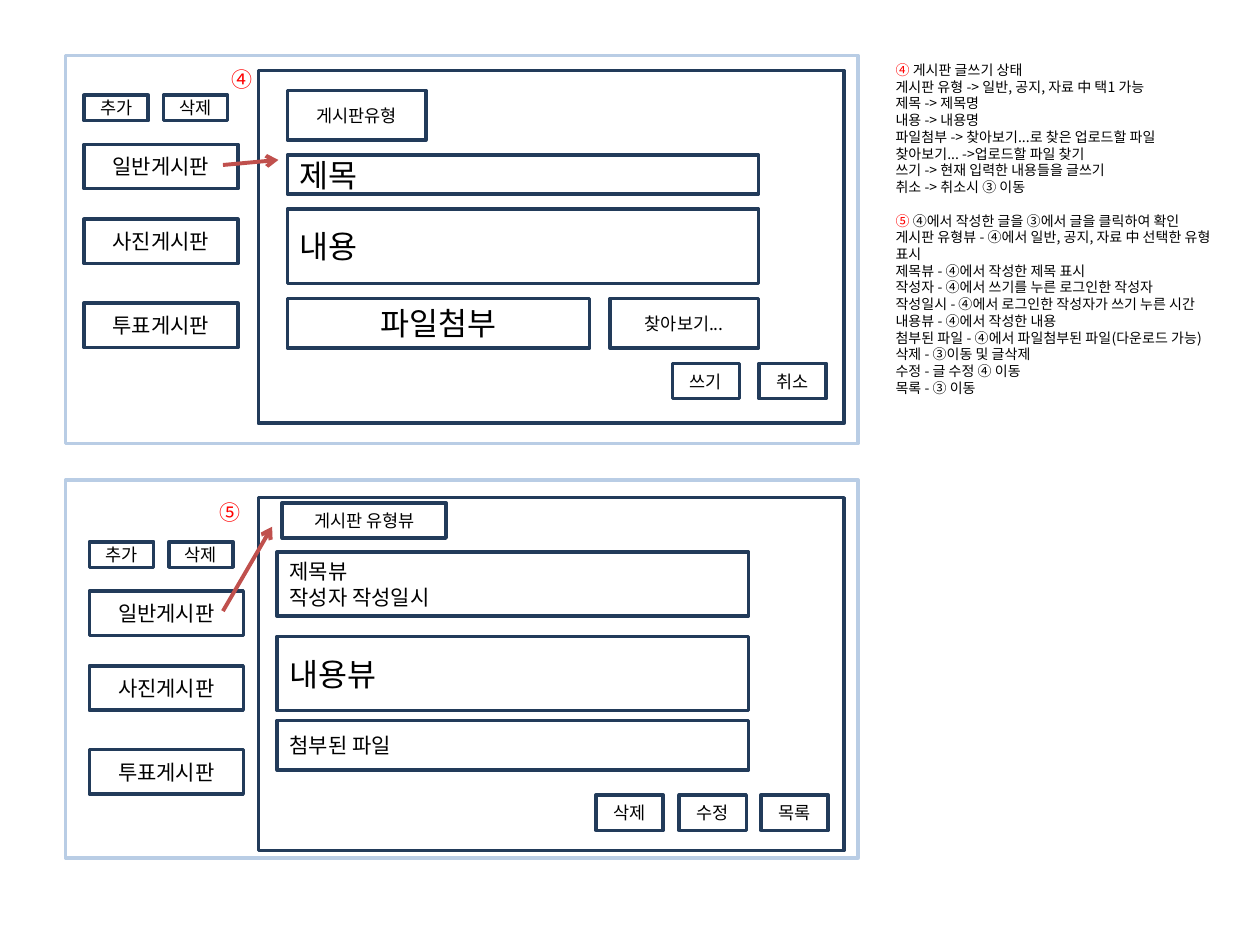
from lxml import etree
from pptx import Presentation
from pptx.dml.color import RGBColor
from pptx.enum.shapes import MSO_CONNECTOR, MSO_SHAPE
from pptx.enum.text import MSO_ANCHOR, MSO_AUTO_SIZE, PP_ALIGN
from pptx.oxml.ns import qn
from pptx.util import Pt

RECTANGLE = MSO_SHAPE.RECTANGLE
STRAIGHT = MSO_CONNECTOR.STRAIGHT
MIDDLE = MSO_ANCHOR.MIDDLE
FIT_SHAPE = MSO_AUTO_SIZE.SHAPE_TO_FIT_TEXT
LEFT, CENTER = PP_ALIGN.LEFT, PP_ALIGN.CENTER

COLORS = {"frame": "B9CDE5", "border": "223B5A", "box": "FFFFFF",
          "text": "000000", "marker": "FF0000", "arrow": "C0504D"}
FONT = "Noto Sans CJK KR"
NOTE_LINE = 9.55

WRITE_NOTES = [
    "게시판 글쓰기 상태",
    "게시판 유형 -> 일반, 공지, 자료 中 택1 가능",
    "제목 -> 제목명",
    "내용 -> 내용명",
    "파일첨부 -> 찾아보기...로 찾은 업로드할 파일",
    "찾아보기... ->업로드할 파일 찾기",
    "쓰기 -> 현재 입력한 내용들을 글쓰기",
    "취소 -> 취소시 ③ 이동",
]
VIEW_NOTES = [
    "④에서 작성한 글을 ③에서 글을 클릭하여 확인",
    "게시판 유형뷰 - ④에서 일반, 공지, 자료 中 선택한 유형 표시",
    "제목뷰 - ④에서 작성한 제목 표시",
    "작성자 - ④에서 쓰기를 누른 로그인한 작성자",
    "작성일시 - ④에서 로그인한 작성자가 쓰기 누른 시간",
    "내용뷰 - ④에서 작성한 내용",
    "첨부된 파일 - ④에서 파일첨부된 파일(다운로드 가능)",
    "삭제 - ③이동 및 글삭제",
    "수정 - 글 수정 ④ 이동",
    "목록 - ③ 이동",
]


def color(name):
    return RGBColor.from_string(COLORS[name])


class Wireframe:
    """Draws wireframe elements on one slide; all lengths are points."""

    def __init__(self, slide):
        self.shapes = slide.shapes

    def style(self, para, size, align=LEFT, tint="text"):
        para.alignment = align
        font = para.font
        font.size = Pt(size)
        font.name = FONT
        font.color.rgb = color(tint)
        # Hangul is drawn with the East Asian typeface
        defaults = para._p.pPr.find(qn("a:defRPr"))
        etree.SubElement(defaults, qn("a:ea"), typeface=FONT)

    def rectangle(self, left, top, width, height, line="border"):
        box = self.shapes.add_shape(RECTANGLE, Pt(left), Pt(top), Pt(width), Pt(height))
        box.shadow.inherit = False
        box.line.color.rgb = color(line)
        box.line.width = Pt(2)
        if line == "frame":
            box.fill.background()
        else:
            box.fill.solid()
            box.fill.fore_color.rgb = color("box")
        return box

    def field(self, left, top, width, height, lines, size=10, align=CENTER):
        frame = self.rectangle(left, top, width, height).text_frame
        frame.vertical_anchor = MIDDLE
        frame.text = lines
        for para in frame.paragraphs:
            self.style(para, size, align)
            if len(frame.paragraphs) > 1:
                para.line_spacing = Pt(14.9)

    def marker(self, left, top, symbol):
        box = self.shapes.add_textbox(Pt(left), Pt(top), Pt(25.9), Pt(21.6))
        frame = box.text_frame
        frame.word_wrap = False
        frame.auto_size = FIT_SHAPE
        frame.text = symbol
        self.style(frame.paragraphs[0], 12, tint="marker")

    def arrow(self, start, end):
        line = self.shapes.add_connector(STRAIGHT, *map(Pt, start + end))
        line.line.color.rgb = color("arrow")
        line.line.width = Pt(2.25)
        etree.SubElement(line.line._get_or_add_ln(), qn("a:tailEnd"), type="arrow")
        etree.SubElement(line._element.spPr, qn("a:effectLst"))

    def menu(self, left, top):
        for column, label in enumerate(["추가", "삭제"]):
            self.field(left + column * 45.4, top, 36.7, 14.6, label)
        boards = [("일반게시판", 28.1), ("사진게시판", 70.9), ("투표게시판", 118.8)]
        for label, offset in boards:
            self.field(left, top + offset, 88, 25.4, label, 12)

    def buttons(self, top, items):
        for left, label in items:
            self.field(left, top, 38.4, 20.2, label)

    def notes(self, left, top, width, height, sections):
        box = self.shapes.add_textbox(Pt(left), Pt(top), Pt(width), Pt(height))
        frame = box.text_frame
        frame.word_wrap = True
        frame.auto_size = FIT_SHAPE
        para = None
        for symbol, lines in sections:
            for index, text in enumerate(lines):
                first = para is None
                para = frame.paragraphs[0] if first else frame.add_paragraph()
                para.line_spacing = Pt(NOTE_LINE)
                if index == 0:
                    if not first:
                        para.space_before = Pt(NOTE_LINE)
                    span = para.add_run()
                    span.text = symbol + " "
                    span.font.color.rgb = color("marker")
                para.add_run().text = text
                self.style(para, 8)


def draw_write_screen(page):
    page.rectangle(37.4, 31.7, 452.9, 221.8, "frame")
    page.rectangle(147.6, 40.3, 334.8, 201.6)
    page.menu(48, 54.4)
    left, width = 164.2, 269.3
    page.field(left, 51.8, 79.2, 28.3, "게시판유형")
    page.field(left, 88.6, width, 22.3, "제목", 18, LEFT)
    page.field(left, 119.5, width, 42.5, "내용", 18, LEFT)
    page.field(left, 170.6, 172.8, 28.3, "파일첨부", 18)
    page.field(348.5, 170.6, 85, 28.3, "찾아보기...")
    page.buttons(207.6, [(384.2, "쓰기"), (433.7, "취소")])
    page.arrow((127.4, 94.3), (159.1, 91.4))
    page.marker(125.3, 34.6, "④")


def draw_view_screen(page):
    page.rectangle(37.4, 274.3, 452.9, 216, "frame")
    page.rectangle(147.6, 284.4, 334.8, 201.6)
    page.menu(51.1, 309.6)
    left, width = 158.4, 269.3
    page.field(161.3, 287.3, 93.6, 20.2, "게시판 유형뷰")
    page.field(left, 315.4, width, 36.7, "제목뷰\n작성자 작성일시", 12, LEFT)
    page.field(left, 363.6, width, 42.5, "내용뷰", 18, LEFT)
    page.field(left, 411.8, width, 28.3, "첨부된 파일", 12, LEFT)
    page.buttons(454.3, [(340.6, "삭제"), (388.1, "수정"), (434.9, "목록")])
    page.arrow((127.4, 349.2), (155.5, 301))
    page.marker(118.1, 282.2, "⑤")


def main():
    deck = Presentation()
    deck.slide_width, deck.slide_height = Pt(720), Pt(540)
    page = Wireframe(deck.slides.add_slide(deck.slide_layouts[6]))
    draw_write_screen(page)
    draw_view_screen(page)
    page.notes(504.7, 31.7, 198.7, 218.2, [("④", WRITE_NOTES), ("⑤", VIEW_NOTES)])
    deck.save("out.pptx")


if __name__ == "__main__":
    main()
